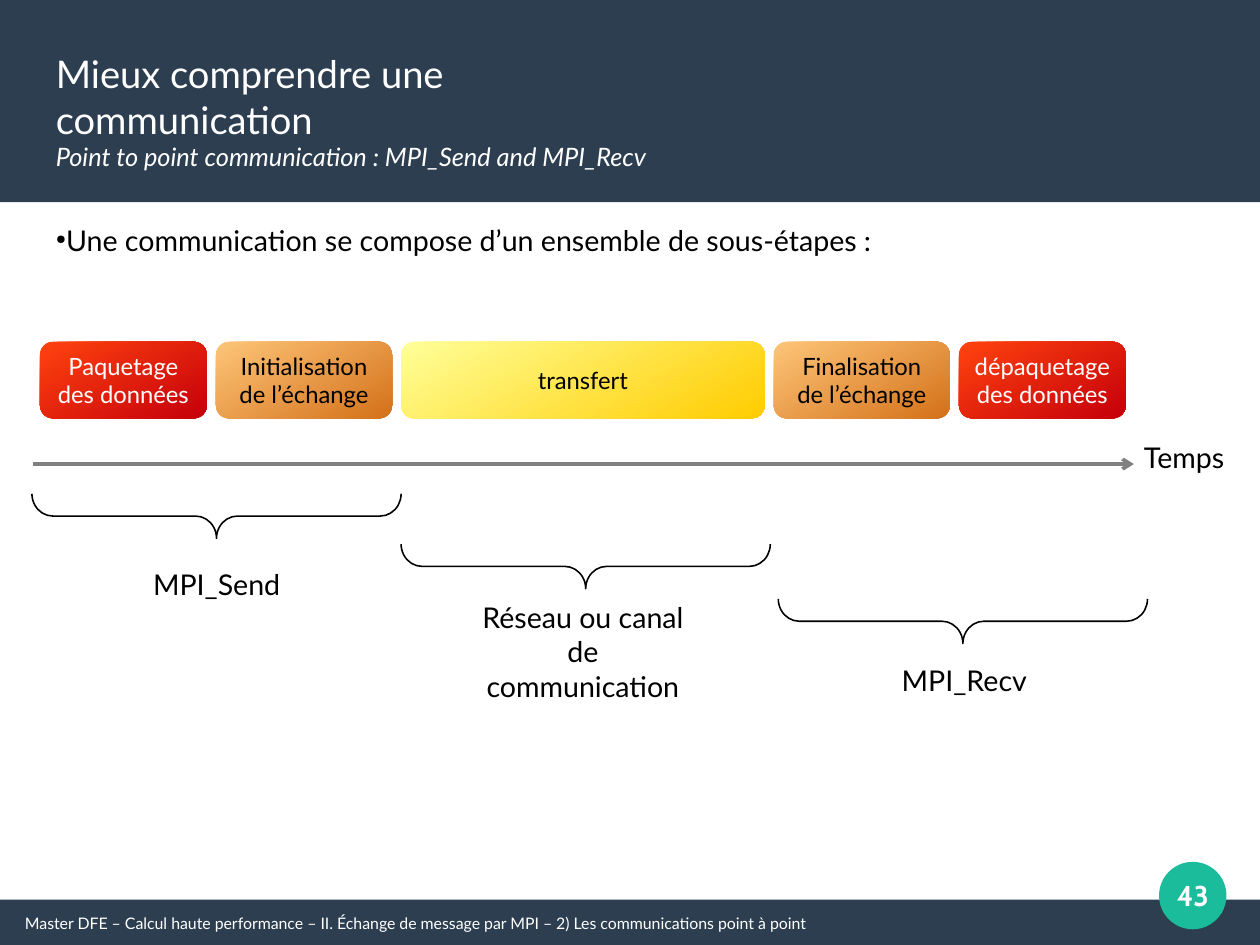
from dataclasses import dataclass
from typing import Any

import pptx
import pptx.dml.color
import pptx.enum.shapes
import pptx.enum.text
import pptx.oxml.ns
import pptx.util
from lxml import etree

Inches = pptx.util.Inches
Preset = pptx.enum.shapes.MSO_SHAPE
Anchor = pptx.enum.text.MSO_ANCHOR
Align = pptx.enum.text.PP_ALIGN
qn = pptx.oxml.ns.qn

WIDTH, HEIGHT = 28 / 2.54, 21 / 2.54
NAVY, TEAL, WHITE, BLACK, GRAY = "2C3E50", "1ABC9C", "FFFFFF", "000000", "808080"
RED, ORANGE, YELLOW = ("FF420E", "C5000B"), ("FDC578", "D4711A"), ("FFFF99", "FFCC00")
STEP_LEFT, STEP_TOP, STEP_HEIGHT, STEP_GAP = 0.35, 2.99, 0.67, 0.08
BRACE_SPAN, BRACE_DEPTH = 3.23, 0.39


@dataclass
class Box:
    left: float
    top: float
    width: float
    height: float

    def lengths(self) -> list[int]:
        return [Inches(value) for value in (self.left, self.top, self.width, self.height)]


@dataclass
class Line:
    text: str
    size: float = 18
    color: str = BLACK
    font: str = "Lato"
    bold: bool = False
    italic: bool = False
    bullet: bool = False


@dataclass
class Label:
    box: Box
    lines: list[Line]
    align: Any = Align.LEFT


@dataclass
class Step:
    width: float
    colors: tuple[str, str]
    text_color: str
    words: list[str]


@dataclass
class Brace:
    left: float
    top: float


LABELS = [
    Label(Box(0.39, 0.39, 5.8, 1.2), [
        Line("Mieux comprendre une communication", 24, WHITE),
        Line("Point to point communication : MPI_Send and MPI_Recv", 16, WHITE, italic=True),
    ]),
    Label(Box(0.39, 1.9, 10.39, 0.78), [
        Line("Une communication se compose d’un ensemble de sous-étapes :", bullet=True),
    ]),
    Label(Box(0.12, 7.94, 9.45, 0.29), [
        Line("Master DFE – Calcul haute performance – II. Échange de message par MPI"
             " – 2) Les communications point à point", 10, WHITE),
    ]),
    Label(Box(9.91, 3.8, 1.1, 0.44), [Line("Temps")]),
    Label(Box(1.24, 4.91, 1.42, 0.46), [Line("MPI_Send")]),
    Label(Box(4.01, 5.2, 2.18, 1.31), [Line("Réseau ou canal de communication")], Align.CENTER),
    Label(Box(7.79, 5.75, 1.42, 0.46), [Line("MPI_Recv")]),
]
STEPS = [
    Step(1.46, RED, WHITE, ["Paquetage", "des données"]),
    Step(1.54, ORANGE, BLACK, ["Initialisation", "de l’échange"]),
    Step(3.18, YELLOW, BLACK, ["transfert"]),
    Step(1.54, ORANGE, BLACK, ["Finalisation", "de l’échange"]),
    Step(1.46, RED, WHITE, ["dépaquetage", "des données"]),
]
BRACES = [Brace(0.28, 4.32), Brace(3.51, 4.76), Brace(6.81, 5.24)]


def rgb(color: str) -> pptx.dml.color.RGBColor:
    return pptx.dml.color.RGBColor.from_string(color)


def apply(target: Any, values: dict[str, Any]) -> None:
    for name, value in values.items():
        setattr(target, name, value)


def add_bullet(paragraph: Any) -> None:
    properties = paragraph._p.get_or_add_pPr()
    etree.SubElement(properties, qn("a:buSzPct")).set("val", "45000")
    etree.SubElement(properties, qn("a:buChar")).set("char", "●")


def write(shape: Any, lines: list[Line], align: Any, anchor: Any, margin: float = 0.1) -> None:
    frame = shape.text_frame
    apply(frame, {
        "word_wrap": True,
        "vertical_anchor": anchor,
        "margin_left": Inches(margin),
        "margin_right": Inches(margin),
        "margin_top": Inches(margin / 2),
        "margin_bottom": Inches(margin / 2),
    })
    for index, line in enumerate(lines):
        paragraph = frame.add_paragraph() if index else frame.paragraphs[0]
        paragraph.alignment = align
        if line.bullet:
            add_bullet(paragraph)
        run = paragraph.add_run()
        run.text = line.text
        apply(run.font, {
            "name": line.font,
            "size": pptx.util.Pt(line.size),
            "bold": line.bold,
            "italic": line.italic,
        })
        run.font.color.rgb = rgb(line.color)


def add_shape(slide: Any, preset: Any, box: Box, color: str | None = None) -> Any:
    shape = slide.shapes.add_shape(preset, *box.lengths())
    shape.shadow.inherit = False
    shape.line.fill.background()
    if color:
        shape.fill.solid()
        shape.fill.fore_color.rgb = rgb(color)
    else:
        shape.fill.background()
    return shape


def add_label(slide: Any, label: Label) -> None:
    shape = slide.shapes.add_textbox(*label.box.lengths())
    write(shape, label.lines, label.align, Anchor.TOP)


def add_step(slide: Any, step: Step, left: float) -> None:
    shape = add_shape(slide, Preset.ROUNDED_RECTANGLE, Box(left, STEP_TOP, step.width, STEP_HEIGHT))
    shape.adjustments[0] = 0.17
    shape.fill.gradient()
    shape.fill.gradient_angle = 300
    for stop, color in zip(shape.fill.gradient_stops, step.colors):
        stop.color.rgb = rgb(color)
    lines = [Line(words, 15, step.text_color) for words in step.words]
    write(shape, lines, Align.CENTER, Anchor.MIDDLE)


def add_brace(slide: Any, brace: Brace) -> None:
    shift = (BRACE_SPAN - BRACE_DEPTH) / 2
    box = Box(brace.left + shift, brace.top - shift, BRACE_DEPTH, BRACE_SPAN)
    shape = add_shape(slide, Preset.LEFT_BRACE, box)
    shape.rotation = 270
    shape.adjustments[0] = 0.47
    shape.line.color.rgb = rgb(BLACK)
    shape.line.width = pptx.util.Pt(1)


def add_time_arrow(slide: Any) -> None:
    ends = [Inches(value) for value in (0.29, 4.06, 9.92, 4.06)]
    arrow = slide.shapes.add_connector(pptx.enum.shapes.MSO_CONNECTOR.STRAIGHT, *ends)
    arrow.line.color.rgb = rgb(GRAY)
    arrow.line.width = pptx.util.Pt(2.3)
    etree.SubElement(arrow.line._get_or_add_ln(), qn("a:tailEnd")).set("type", "arrow")
    etree.SubElement(arrow._element.spPr, qn("a:effectLst"))


def main() -> None:
    presentation = pptx.Presentation()
    apply(presentation, {"slide_width": Inches(WIDTH), "slide_height": Inches(HEIGHT)})
    slide = presentation.slides.add_slide(presentation.slide_layouts[6])
    for band in (Box(0, 7.87, WIDTH, HEIGHT - 7.87), Box(0, 0, WIDTH, 1.77)):
        add_shape(slide, Preset.RECTANGLE, band, NAVY)
    badge = add_shape(slide, Preset.OVAL, Box(10.14, 7.54, 0.59, 0.59), TEAL)
    write(badge, [Line("43", 18, WHITE, "Cabin", bold=True)], Align.CENTER, Anchor.MIDDLE, 0)
    for label in LABELS:
        add_label(slide, label)
    left = STEP_LEFT
    for step in STEPS:
        add_step(slide, step, left)
        left += step.width + STEP_GAP
    add_time_arrow(slide)
    for brace in BRACES:
        add_brace(slide, brace)
    presentation.save("out.pptx")


if __name__ == "__main__":
    main()
